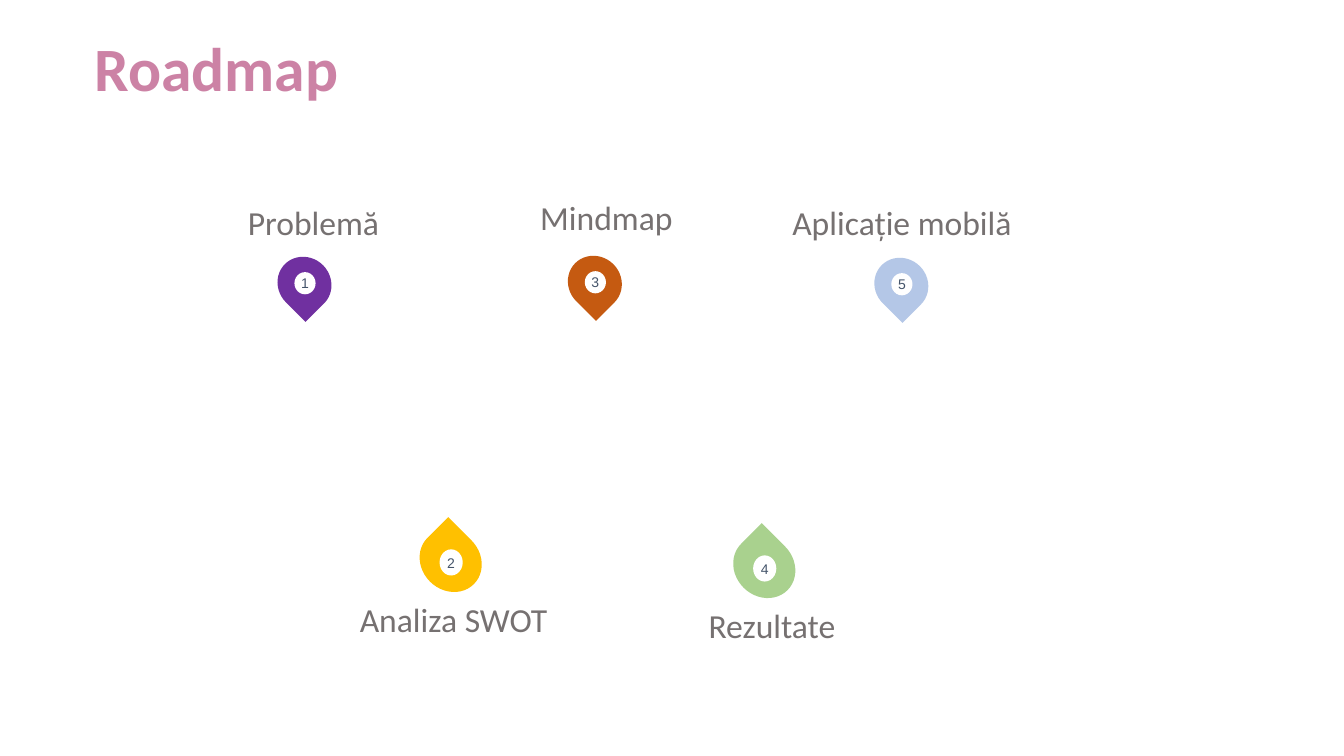
from dataclasses import dataclass

from pptx import Presentation
from pptx.dml.color import RGBColor
from pptx.enum.shapes import MSO_SHAPE
from pptx.enum.text import MSO_ANCHOR, MSO_AUTO_SIZE, PP_ALIGN
from pptx.util import Inches, Pt


@dataclass(frozen=True)
class Theme:
    heading_font: str = "Calibri"
    number_font: str = "Arial"
    title_color: str = "CC82A5"
    label_color: str = "767171"
    number_color: str = "44546A"
    white: str = "FFFFFF"
    title_size: int = 44
    label_size: int = 24
    number_size: int = 10


@dataclass(frozen=True)
class PinStyle:
    rotation: int
    size: tuple
    dot_offset: tuple
    dot_size: tuple


POINTING_DOWN = PinStyle(135, (0.52, 0.55), (0.16, 0.16), (0.21, 0.22))
POINTING_UP = PinStyle(315, (0.58, 0.65), (0.18, 0.21), (0.23, 0.26))

# Milestones: label, label box (left, top, width), pin style, pin position, pin colour
MILESTONES = [
    ("Problemă", (2.36, 1.95, 1.67), POINTING_DOWN, (2.76, 2.54), "7030A0"),
    ("Analiza SWOT", (3.47, 5.89, 3.21), POINTING_UP, (4.18, 5.24), "FFC000"),
    ("Mindmap", (5.26, 1.9, 1.67), POINTING_DOWN, (5.64, 2.53), "C55A11"),
    ("Rezultate", (6.93, 5.95, 1.67), POINTING_UP, (7.29, 5.3), "A9D18E"),
    ("Aplicație mobilă", (7.76, 1.95, 2.58), POINTING_DOWN, (8.68, 2.55), "B4C7E7"),
]
LABEL_HEIGHT = 0.5


class RoadmapSlide:
    def __init__(self, presentation, theme):
        self.theme = theme
        title_only = presentation.slide_layouts[5]
        self.slide = presentation.slides.add_slide(title_only)

    def set_text(self, shape, text, font_name, size, color, bold=False,
                 alignment=PP_ALIGN.LEFT, anchor=MSO_ANCHOR.TOP):
        frame = shape.text_frame
        frame.text = text
        frame.word_wrap = True
        frame.vertical_anchor = anchor
        paragraph = frame.paragraphs[0]
        paragraph.alignment = alignment
        paragraph.font.name = font_name
        paragraph.font.size = Pt(size)
        paragraph.font.bold = bold
        paragraph.font.color.rgb = RGBColor.from_string(color)
        return frame

    def title(self, text, left, top, width, height):
        shape = self.slide.shapes.title
        shape.left, shape.top = Inches(left), Inches(top)
        shape.width, shape.height = Inches(width), Inches(height)
        frame = self.set_text(shape, text, self.theme.heading_font,
                              self.theme.title_size, self.theme.title_color, bold=True)
        frame.auto_size = MSO_AUTO_SIZE.SHAPE_TO_FIT_TEXT

    def label(self, text, left, top, width):
        shape = self.slide.shapes.add_textbox(
            Inches(left), Inches(top), Inches(width), Inches(LABEL_HEIGHT))
        frame = self.set_text(shape, text, self.theme.heading_font,
                              self.theme.label_size, self.theme.label_color)
        frame.auto_size = MSO_AUTO_SIZE.SHAPE_TO_FIT_TEXT

    def filled_shape(self, group, kind, position, size, color):
        shape = group.shapes.add_shape(
            kind, *(Inches(length) for length in (*position, *size)))
        shape.shadow.inherit = False
        shape.fill.solid()
        shape.fill.fore_color.rgb = RGBColor.from_string(color)
        shape.line.fill.background()
        return shape

    def pin(self, number, style, position, color):
        group = self.slide.shapes.add_group_shape()
        drop = self.filled_shape(group, MSO_SHAPE.TEAR, position, style.size, color)
        drop.rotation = style.rotation

        # Numbered dot inside the drop
        left, top = position
        offset_x, offset_y = style.dot_offset
        dot = self.filled_shape(group, MSO_SHAPE.OVAL, (left + offset_x, top + offset_y),
                                style.dot_size, self.theme.white)
        frame = self.set_text(dot, str(number), self.theme.number_font,
                              self.theme.number_size, self.theme.number_color,
                              alignment=PP_ALIGN.CENTER, anchor=MSO_ANCHOR.MIDDLE)
        frame.margin_left = frame.margin_right = Inches(0)
        frame.margin_top = frame.margin_bottom = Inches(0)


def main():
    presentation = Presentation()
    presentation.slide_width = Inches(13.33)
    presentation.slide_height = Inches(7.5)
    roadmap = RoadmapSlide(presentation, Theme())

    # Heading
    roadmap.title("Roadmap", 0.84, 0.25, 4.3, 0.84)

    # Numbered milestones
    for number, (text, label_box, style, position, color) in enumerate(MILESTONES, 1):
        roadmap.pin(number, style, position, color)
        roadmap.label(text, *label_box)

    presentation.save("out.pptx")


if __name__ == "__main__":
    main()
